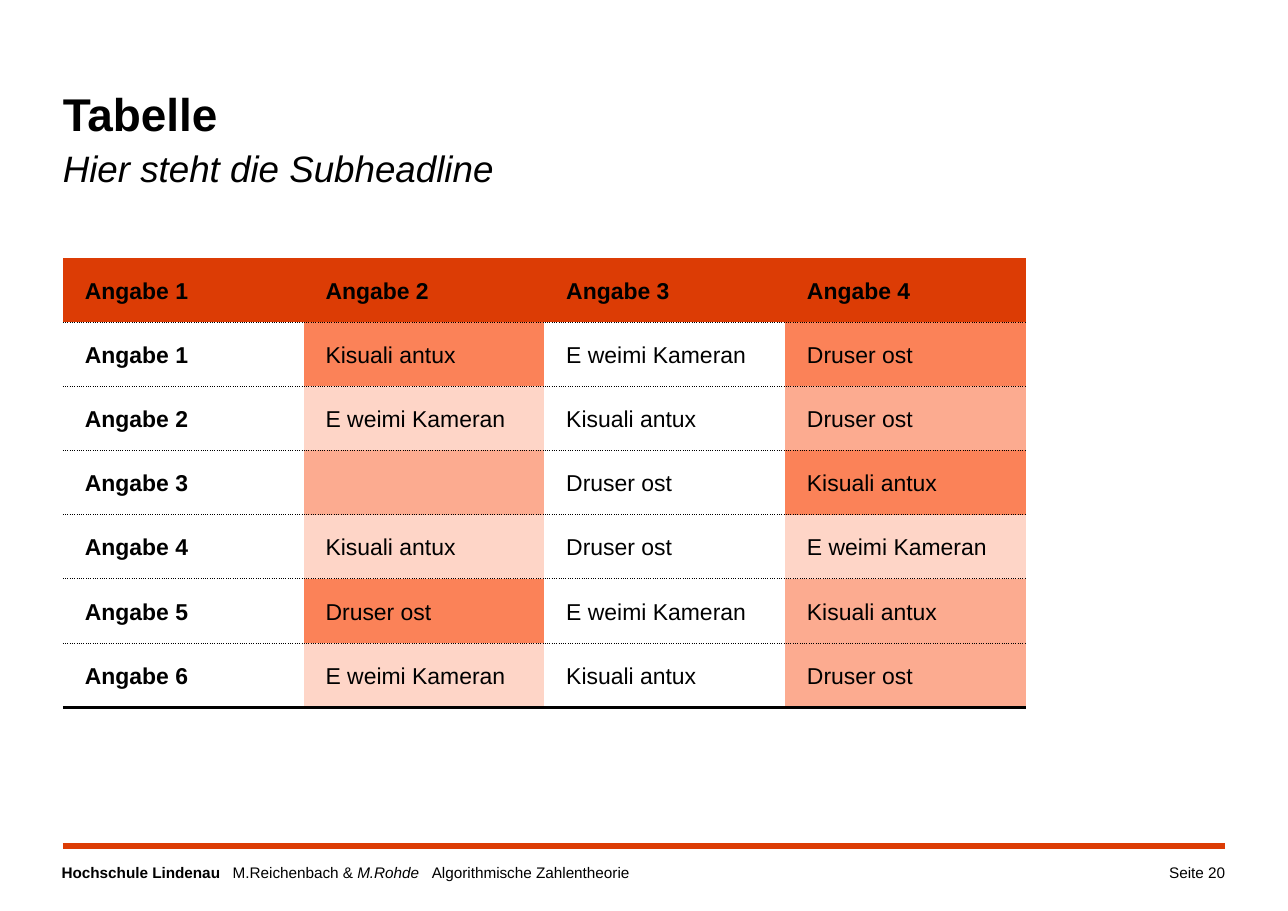
"""Build a table slide with a shaded grid, a subheadline and a footer."""
import pptx
import pptx.dml.color
import pptx.enum.text
import pptx.oxml
import pptx.oxml.ns
import pptx.util

WIDTH, HEIGHT = 11.69, 8.27
LEFT, RIGHT = 0.57, 11.12
FOOTER_TOP, FOOTER_HEIGHT = 7.84, 0.25
COLUMN, ROW = 8.74 / 4, 4.08 / 7
BLACK, ORANGE = "000000", "DC3C05"
STRONG, MEDIUM, PALE = "FB8258", "FCAB90", "FED5C7"

TITLE = [("Tabelle", 30, True, False), ("Hier steht die Subheadline", 24, False, True)]
HEADER = ["Angabe 1", "Angabe 2", "Angabe 3", "Angabe 4"]
ROWS = [
    ["Angabe 1", "Kisuali antux", "E weimi Kameran", "Druser ost"],
    ["Angabe 2", "E weimi Kameran", "Kisuali antux", "Druser ost"],
    ["Angabe 3", "", "Druser ost", "Kisuali antux"],
    ["Angabe 4", "Kisuali antux", "Druser ost", "E weimi Kameran"],
    ["Angabe 5", "Druser ost", "E weimi Kameran", "Kisuali antux"],
    ["Angabe 6", "E weimi Kameran", "Kisuali antux", "Druser ost"],
]
SHADES = [
    (STRONG, STRONG), (PALE, MEDIUM), (MEDIUM, STRONG),
    (PALE, PALE), (STRONG, MEDIUM), (PALE, MEDIUM),
]
FOOTER = [
    ("Hochschule Lindenau\u00a0\u00a0 ".replace("\u00a0", " "), True, False),
    ("M.Reichenbach & ", False, False),
    ("M.Rohde   ", False, True),
    ("Algorithmische Zahlentheorie", False, False),
]
PAGE = [("Seite 20", False, False)]

inch = pptx.util.Inches
ALIGN = pptx.enum.text.PP_ALIGN
ANCHOR = pptx.enum.text.MSO_ANCHOR


def rgb(colour):
    return pptx.dml.color.RGBColor.from_string(colour)


def set_font(font, size=None, bold=None, italic=None):
    font.name, font.bold, font.italic = "Arial", bold, italic
    font.color.rgb = rgb(BLACK)
    if size:
        font.size = pptx.util.Pt(size)


def clear_margins(frame):
    frame.margin_left = frame.margin_right = frame.margin_top = frame.margin_bottom = 0
    frame.word_wrap = True
    frame.auto_size = pptx.enum.text.MSO_AUTO_SIZE.NONE
    frame.vertical_anchor = ANCHOR.TOP


def add_title(slide):
    title = slide.shapes.title
    title.left, title.top = inch(LEFT), inch(0.73)
    title.width, title.height = inch(RIGHT - LEFT), inch(1.04)
    clear_margins(title.text_frame)
    headline = title.text_frame.paragraphs[0]
    headline.alignment, headline.line_spacing = ALIGN.LEFT, 1.1
    for position, (words, size, bold, italic) in enumerate(TITLE):
        if position:
            headline.add_line_break()
        run = headline.add_run()
        run.text = words
        set_font(run.font, size, bold, italic)


def add_footer(slide, left, width, parts, alignment):
    box = slide.shapes.add_textbox(inch(left), inch(FOOTER_TOP), inch(width), inch(FOOTER_HEIGHT))
    clear_margins(box.text_frame)
    footer = box.text_frame.paragraphs[0]
    footer.alignment = alignment
    set_font(footer.font, 10)
    for words, bold, italic in parts:
        run = footer.add_run()
        run.text = words
        run.font.bold, run.font.italic = bold, italic


def add_rule(slide):
    rule = slide.shapes.add_connector(1, inch(LEFT), inch(7.68), inch(RIGHT), inch(7.68))
    rule.line.color.rgb = rgb(ORANGE)
    rule.line.width = pptx.util.Pt(4)
    rule._element.spPr.append(pptx.oxml.parse_xml(f'<a:effectLst {pptx.oxml.ns.nsdecls("a")}/>'))


def set_borders(cell, borders):
    """Draw the borders, given as (points, dash) by side, and clear the other sides."""
    properties = cell._tc.get_or_add_tcPr()
    for position, side in enumerate("LRTB"):
        points, dash = borders.get(side, (0, ""))
        stroke = (f'<a:solidFill><a:srgbClr val="{BLACK}"/></a:solidFill><a:prstDash val="{dash}"/>'
                  if points else "<a:noFill/>")
        properties.insert(position, pptx.oxml.parse_xml(
            f'<a:ln{side} {pptx.oxml.ns.nsdecls("a")} w="{int(points * 12700)}">{stroke}</a:ln{side}>'))


def fill_cell(cell, words, bold, shade, borders):
    cell.margin_left = cell.margin_right = inch(0.2)
    cell.margin_top = cell.margin_bottom = inch(0.13)
    cell.vertical_anchor = ANCHOR.MIDDLE
    entry = cell.text_frame.paragraphs[0]
    entry.line_spacing = 1.1
    set_font(entry.font, 15, bold)
    if words:
        entry.add_run().text = words
    if shade:
        cell.fill.solid()
        cell.fill.fore_color.rgb = rgb(shade)
    else:
        cell.fill.background()
    set_borders(cell, borders)


def add_grid(slide):
    entries = [HEADER] + ROWS
    shades = [[ORANGE] * 4] + [[None, second, None, fourth] for second, fourth in SHADES]
    last, columns = len(ROWS), len(HEADER)
    grid = slide.shapes.add_table(last + 1, columns, inch(LEFT), inch(2.34),
                                  inch(COLUMN * columns), inch(ROW * (last + 1))).table
    grid.first_row = grid.horz_banding = False
    for column in grid.columns:
        column.width = inch(COLUMN)
    for r, row in enumerate(grid.rows):
        row.height = inch(ROW)
        borders = {"B": (2.25, "solid") if r == last else (0.5, "sysDot")}
        if r:
            borders["T"] = (0.5, "sysDot")
        for c, words in enumerate(entries[r]):
            fill_cell(grid.cell(r, c), words, r == 0 or c == 0, shades[r][c], borders)


def main():
    deck = pptx.Presentation()
    deck.slide_width, deck.slide_height = inch(WIDTH), inch(HEIGHT)
    slide = deck.slides.add_slide(deck.slide_layouts[5])
    add_footer(slide, 0.56, 8.44, FOOTER, ALIGN.LEFT)
    add_rule(slide)
    add_footer(slide, 9.78, RIGHT - 9.78, PAGE, ALIGN.RIGHT)
    add_title(slide)
    add_grid(slide)
    deck.save("out.pptx")


if __name__ == "__main__":
    main()
